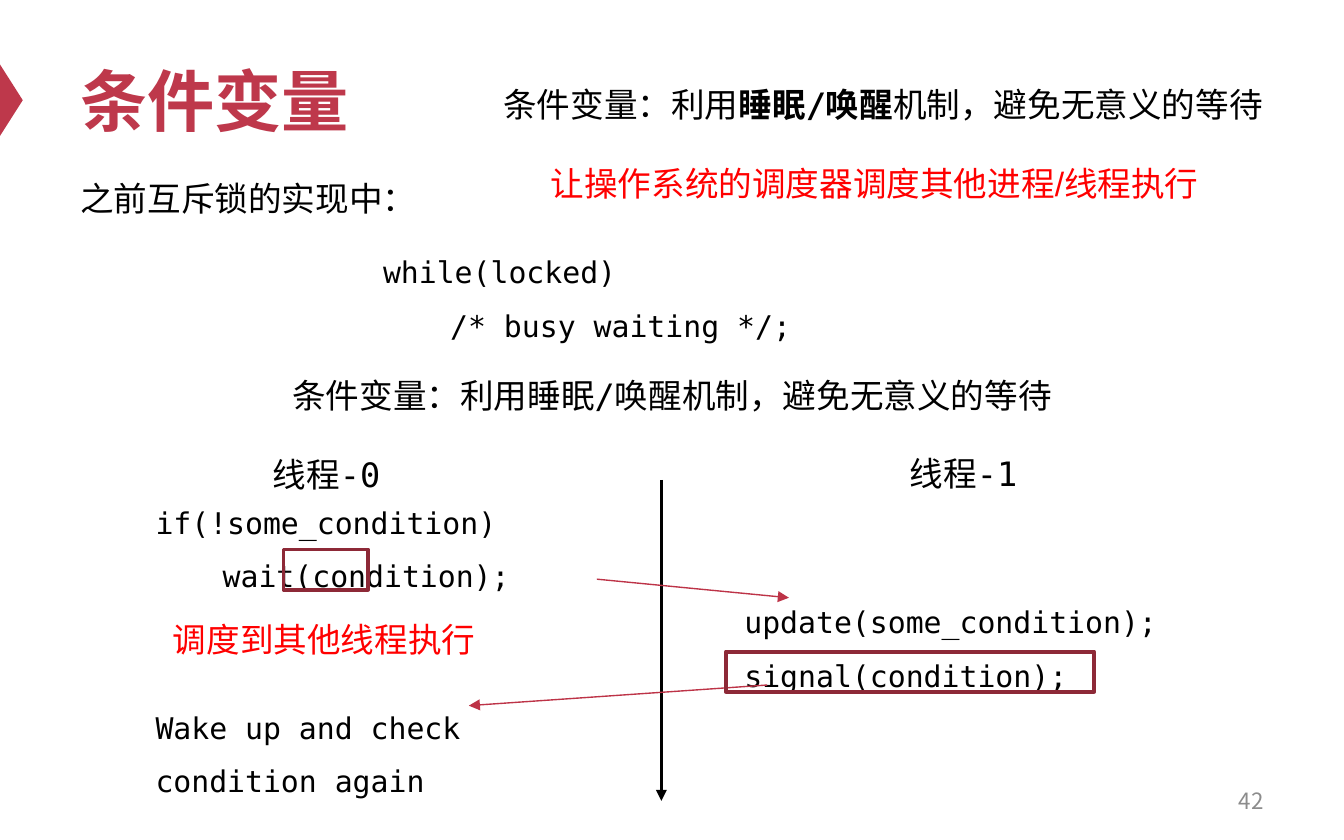
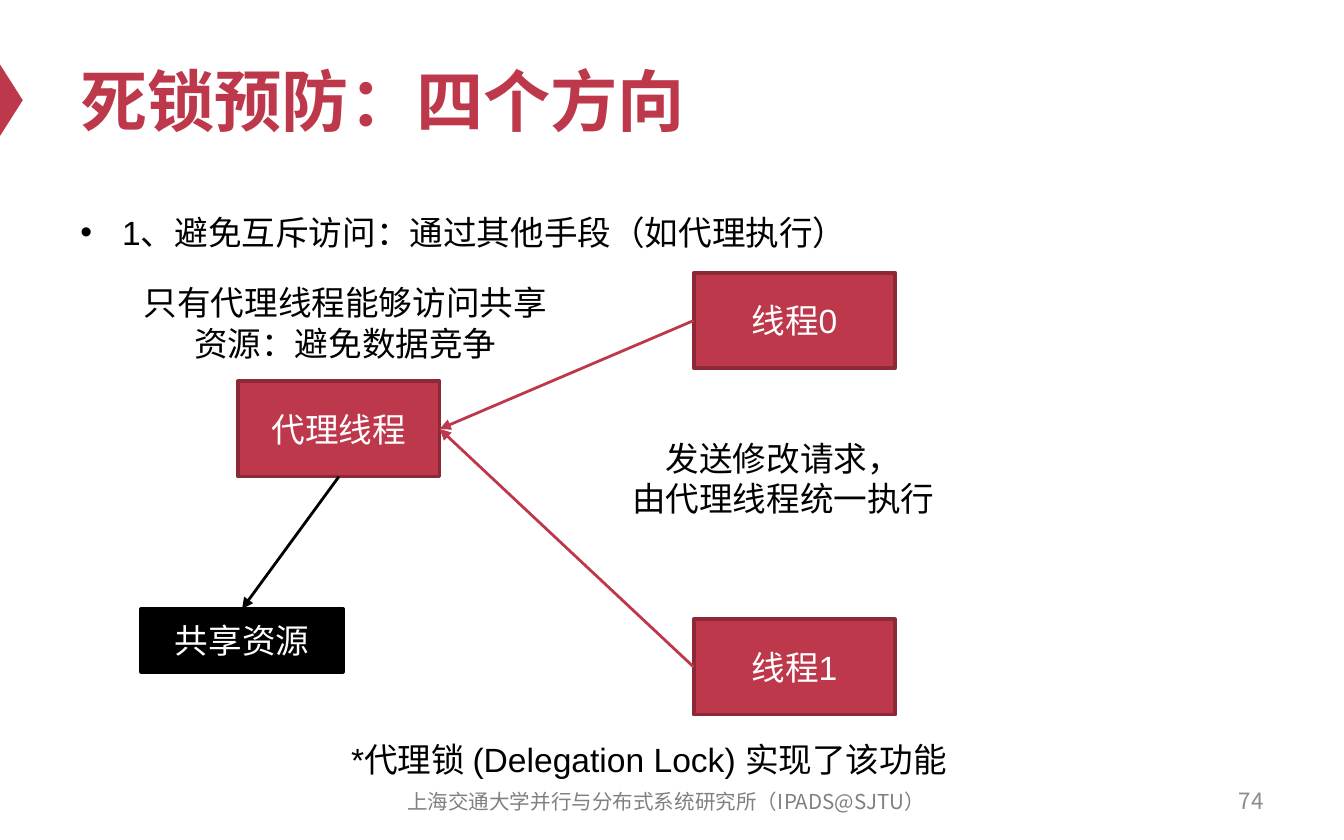
import dataclasses
import typing

import lxml.etree
import pptx
import pptx.dml.color
import pptx.enum.shapes
import pptx.enum.text
import pptx.oxml.ns
import pptx.shapes.autoshape
import pptx.shapes.connector
import pptx.slide
import pptx.text.text
import pptx.util

Cm = pptx.util.Cm
Pt = pptx.util.Pt
ALIGN = pptx.enum.text.PP_ALIGN
ANCHOR = pptx.enum.text.MSO_ANCHOR
GEOMETRY = pptx.enum.shapes.MSO_SHAPE
Frame = tuple[float, float, float, float]
Point = tuple[float, float]

COLORS = {
    "brand": "BE384B",
    "brand_dark": "8D2937",
    "signal": "BD3347",
    "alert": "FF0000",
    "ink": "000000",
    "paper": "FFFFFF",
    "footer": "808080",
    "number": "8C8C8C",
}
SANS, MONO, CJK = "Arial", "DejaVu Sans Mono", "Noto Sans CJK SC"
TOP, LEFT, BOTTOM, RIGHT = range(4)
EMPHASIS = "**"


@dataclasses.dataclass(frozen=True)
class TextStyle:
    font: str = SANS
    size: float = 18
    color: str = "ink"
    bold: bool = False
    align: typing.Optional[ALIGN] = None
    anchor: ANCHOR = ANCHOR.TOP
    spacing: float = 1.0
    bullet: bool = False
    grows: bool = True


@dataclasses.dataclass(frozen=True)
class Label:
    frame: Frame
    text: str
    style: TextStyle


@dataclasses.dataclass(frozen=True)
class Block:
    frame: Frame
    text: str = ""
    fill: typing.Optional[str] = "brand"
    outline: str = "brand_dark"


@dataclasses.dataclass(frozen=True)
class Arrow:
    start: Point
    end: Point
    color: str
    width: float


TITLE = TextStyle(size=36, color="brand", bold=True, anchor=ANCHOR.MIDDLE, grows=False)
FOOTER = TextStyle(CJK, 11, "footer", align=ALIGN.CENTER, anchor=ANCHOR.MIDDLE, grows=False)
NUMBER = dataclasses.replace(FOOTER, size=12, color="number", align=ALIGN.RIGHT)
BODY = TextStyle(MONO)
HEADING = TextStyle(MONO, align=ALIGN.CENTER)
CODE = TextStyle(MONO, 16, spacing=1.5)
CAPTION = TextStyle(align=ALIGN.CENTER)
BULLET = TextStyle(spacing=2.0, bullet=True)
BLOCK_TEXT = TextStyle(color="paper", align=ALIGN.CENTER, anchor=ANCHOR.MIDDLE, grows=False)


def rgb(name: str) -> pptx.dml.color.RGBColor:
    return pptx.dml.color.RGBColor.from_string(COLORS[name])


def add_child(parent: lxml.etree._Element, tag: str, **attributes: str) -> None:
    lxml.etree.SubElement(parent, pptx.oxml.ns.qn(tag), attributes)


def set_format(target: typing.Any, values: dict[str, typing.Any]) -> None:
    for name, value in values.items():
        setattr(target, name, value)


def add_bullet(paragraph: pptx.text.text._Paragraph) -> None:
    properties = paragraph._p.get_or_add_pPr()
    properties.set("marL", str(Cm(0.79)))
    properties.set("indent", str(Cm(-0.79)))
    add_child(properties, "a:buFont", typeface=SANS)
    add_child(properties, "a:buChar", char="•")


def write(frame: pptx.text.text.TextFrame, text: str, style: TextStyle) -> None:
    auto_size = pptx.enum.text.MSO_AUTO_SIZE
    set_format(frame, {
        "word_wrap": True,
        "vertical_anchor": style.anchor,
        "auto_size": auto_size.SHAPE_TO_FIT_TEXT if style.grows else auto_size.NONE,
    })
    for index, line in enumerate(text.split("\n")):
        paragraph = frame.add_paragraph() if index else frame.paragraphs[0]
        if style.bullet:
            add_bullet(paragraph)
        set_format(paragraph, {"alignment": style.align, "line_spacing": style.spacing})
        for part, words in enumerate(line.split(EMPHASIS)):
            run = paragraph.add_run()
            run.text = words
            run.font.color.rgb = rgb(style.color)
            set_format(run.font, {
                "name": style.font,
                "size": Pt(style.size),
                "bold": style.bold or part % 2 == 1,
            })
            add_child(run._r.get_or_add_rPr(), "a:ea", typeface=CJK)


def draw_label(slide: pptx.slide.Slide, label: Label) -> None:
    box = slide.shapes.add_textbox(*map(Cm, label.frame))
    write(box.text_frame, label.text, label.style)


def draw_block(slide: pptx.slide.Slide, block: Block) -> pptx.shapes.autoshape.Shape:
    shape = slide.shapes.add_shape(GEOMETRY.RECTANGLE, *map(Cm, block.frame))
    shape.shadow.inherit = False
    if block.fill:
        shape.fill.solid()
        shape.fill.fore_color.rgb = rgb(block.fill)
    else:
        shape.fill.background()
    shape.line.color.rgb = rgb(block.outline)
    shape.line.width = Pt(2)
    if block.text:
        write(shape.text_frame, block.text, BLOCK_TEXT)
    return shape


def draw_arrow(slide: pptx.slide.Slide, arrow: Arrow) -> pptx.shapes.connector.Connector:
    connector = slide.shapes.add_connector(
        pptx.enum.shapes.MSO_CONNECTOR.STRAIGHT, *map(Cm, arrow.start + arrow.end)
    )
    connector.line.color.rgb = rgb(arrow.color)
    connector.line.width = Pt(arrow.width)
    properties = connector._element.spPr
    add_child(properties.find(pptx.oxml.ns.qn("a:ln")), "a:tailEnd", type="triangle")
    add_child(properties, "a:effectLst")
    return connector


def start_slide(deck: pptx.presentation.Presentation, title: str, number: int) -> pptx.slide.Slide:
    slide = deck.slides.add_slide(deck.slide_layouts[6])
    marker = slide.shapes.add_shape(
        GEOMETRY.ISOSCELES_TRIANGLE, *map(Cm, (-0.46, 1.68, 1.35, 0.43))
    )
    marker.rotation = 90
    marker.shadow.inherit = False
    marker.fill.solid()
    marker.fill.fore_color.rgb = rgb("brand")
    marker.line.fill.background()
    draw_label(slide, Label((1.27, 0.64, 22.86, 2.49), title, TITLE))
    draw_label(slide, Label((18.21, 14.71, 5.92, 0.84), str(number), NUMBER))
    return slide


def build_condition_variable(deck: pptx.presentation.Presentation) -> None:
    slide = start_slide(deck, "条件变量", 42)
    alert_body = dataclasses.replace(BODY, color="alert")
    labels = [
        Label((6.99, 4.34, 11.43, 2.21), "while(locked)\n\t/* busy waiting */;", CODE),
        Label((1.27, 3.23, 9.8, 1.02), "之前互斥锁的实现中：", BODY),
        Label((4.65, 6.96, 16.1, 1.02), "条件变量：利用睡眠/唤醒机制，避免无意义的等待", HEADING),
        Label((2.69, 9.07, 8.56, 2.21), "if(!some_condition)\n\twait(condition);", CODE),
        Label((13.82, 10.95, 9.22, 2.21), "update(some_condition);\nsignal(condition);", CODE),
        Label((3.81, 8.46, 4.72, 1.02), "线程-0", HEADING),
        Label((14.91, 8.43, 6.6, 1.02), "线程-1", HEADING),
        Label((2.69, 12.95, 8.99, 2.21), "Wake up and check condition again", CODE),
        Label((3.02, 11.58, 6.27, 1.02), "调度到其他线程执行", alert_body),
        Label((8.64, 1.47, 16.1, 1.02), "条件变量：利用**睡眠/唤醒**机制，避免无意义的等待", HEADING),
        Label((10.16, 2.95, 12.88, 1.02), "让操作系统的调度器调度其他进程/线程执行",
              TextStyle(color="alert")),
    ]
    for label in labels:
        draw_label(slide, label)
    for arrow in (
        Arrow((12.5, 9.07), (12.5, 15.14), "ink", 1.5),
        Arrow((11.28, 10.95), (14.91, 11.3), "signal", 0.75),
        Arrow((14.5, 12.95), (8.86, 13.34), "signal", 0.75),
    ):
        draw_arrow(slide, arrow)
    for highlight in ((5.36, 10.39, 1.6, 0.76), (13.72, 12.32, 6.96, 0.76)):
        draw_block(slide, Block(highlight, fill=None))


def build_deadlock_prevention(deck: pptx.presentation.Presentation) -> None:
    slide = start_slide(deck, "死锁预防：四个方向", 74)
    labels = [
        Label((1.27, 3.12, 18.16, 1.55), "1、避免互斥访问：通过其他手段（如代理执行）", BULLET),
        Label((7.09, 14.73, 11, 0.84), "上海交通大学并行与分布式系统研究所（IPADS@SJTU）", FOOTER),
        Label((2.41, 5.21, 8.23, 1.8), "只有代理线程能够访问共享资源：避免数据竞争", CAPTION),
        Label((10.69, 8.15, 8.23, 1.8), "发送修改请求，\n由代理线程统一执行", CAPTION),
        Label((5.61, 13.84, 13.31, 1.02), "*代理锁 (Delegation Lock) 实现了该功能", CAPTION),
    ]
    for label in labels:
        draw_label(slide, label)
    delegate = draw_block(slide, Block((4.5, 7.21, 3.81, 1.8), "代理线程"))
    resource = draw_block(slide, Block((2.67, 11.51, 3.81, 1.19), "共享资源", "ink", "ink"))
    clients = [
        draw_block(slide, Block((13.11, top, 3.81, 1.8), f"线程{index}"))
        for index, top in enumerate((5.16, 11.71))
    ]
    links = [(delegate, BOTTOM, resource, TOP, "ink")]
    links += [(client, LEFT, delegate, RIGHT, "brand") for client in clients]
    for source, source_side, target, target_side, color in links:
        link = draw_arrow(slide, Arrow((0, 0), (1, 1), color, 1.5))
        link.begin_connect(source, source_side)
        link.end_connect(target, target_side)


def main() -> None:
    deck = pptx.Presentation()
    set_format(deck, {"slide_width": Cm(25.4), "slide_height": Cm(15.88)})
    build_condition_variable(deck)
    build_deadlock_prevention(deck)
    deck.save("out.pptx")


if __name__ == "__main__":
    main()
